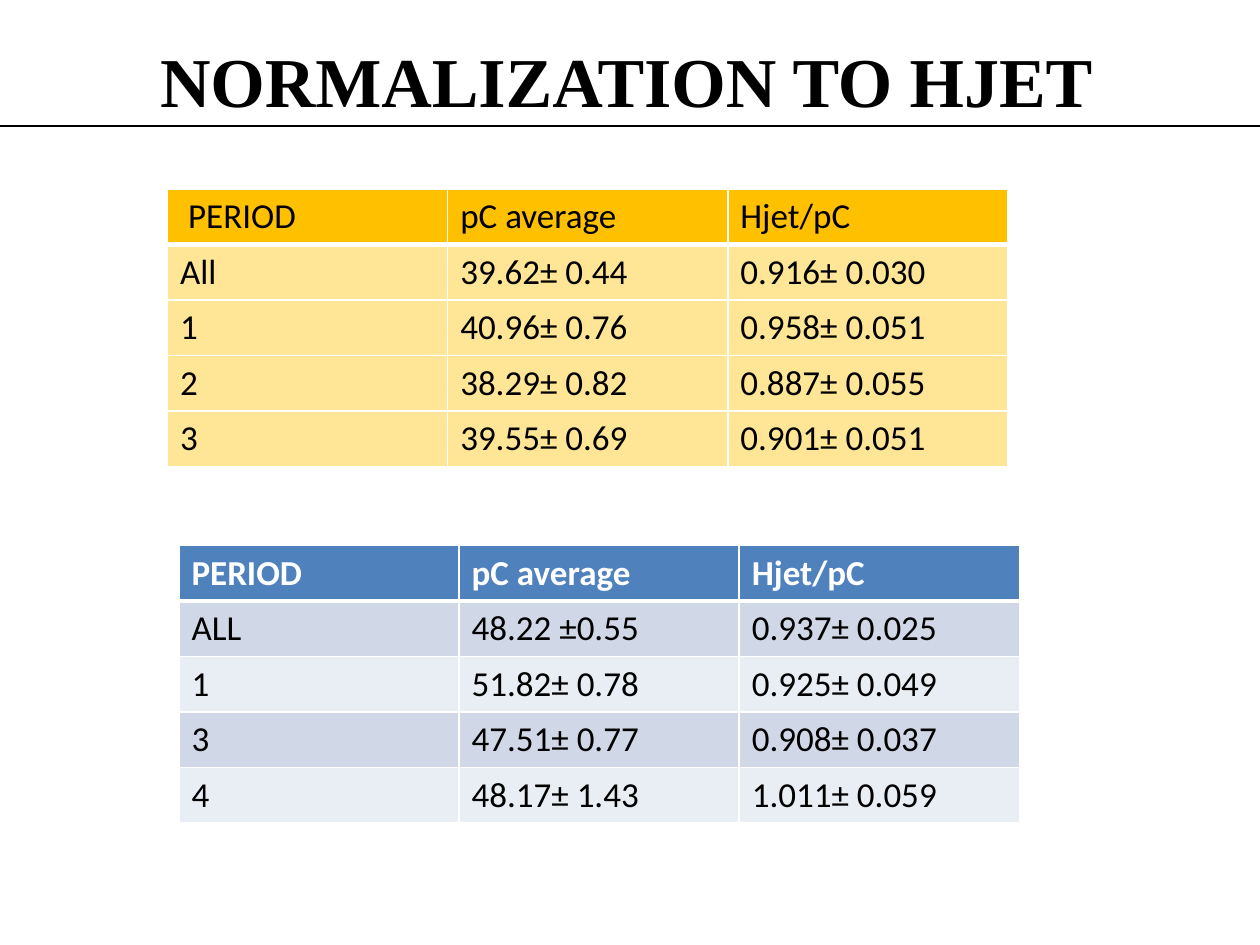
from lxml.etree import SubElement
from pptx import Presentation
from pptx.dml.color import RGBColor as RGB
from pptx.enum.shapes import MSO_CONNECTOR as Connector
from pptx.enum.text import MSO_ANCHOR as Anchor, MSO_AUTO_SIZE as AutoSize, PP_ALIGN as Align
from pptx.oxml.ns import qn
from pptx.util import Inches, Pt

HEADING = "NORMALIZATION TO HJET"
RESULTS = [
    {
        "place": (1.33, 1.5),
        "palette": "amber",
        "rows": [
            (" PERIOD", "pC average", "Hjet/pC"),
            ("All", "39.62± 0.44", "0.916± 0.030"),
            ("1", "40.96± 0.76", "0.958± 0.051"),
            ("2", "38.29± 0.82", "0.887± 0.055"),
            ("3", "39.55± 0.69", "0.901± 0.051"),
        ],
    },
    {
        "place": (1.42, 4.33),
        "palette": "blue",
        "rows": [
            ("PERIOD", "pC average", "Hjet/pC"),
            ("ALL", "48.22 ±0.55", "0.937± 0.025"),
            ("1", "51.82± 0.78", "0.925± 0.049"),
            ("3", "47.51± 0.77", "0.908± 0.037"),
            ("4", "48.17± 1.43", "1.011± 0.059"),
        ],
    },
]
THEME = {
    "ink": "000000",
    "border": "FFFFFF",
    "heading": {"name": "Times New Roman", "size": Pt(40), "bold": True},
    "cell": {"name": "Calibri", "size": Pt(20)},
    "amber": {"head": "FFC000", "bands": ("FFE697", "FFE697"), "head_ink": "000000", "head_bold": False},
    "blue": {"head": "4F81BD", "bands": ("D0D8E8", "E9EDF4"), "head_ink": "FFFFFF", "head_bold": True},
}
SLIDE_WIDTH, SLIDE_HEIGHT = 10, 7.5
TABLE_WIDTH, TABLE_HEIGHT = 6.67, 2.17
RULE_TOP = 1


def format_font(font, ink, **values):
    for key, value in values.items():
        setattr(font, key, value)
    font.color.rgb = RGB.from_string(ink)


def add_borders(cell, **widths):
    properties = cell._tc.get_or_add_tcPr()
    for side in ("L", "R", "T", "B"):
        edge = SubElement(properties, qn(f"a:ln{side}"), w=str(Pt(widths.get(side, 1))))
        fill = SubElement(edge, qn("a:solidFill"))
        SubElement(fill, qn("a:srgbClr"), val=THEME["border"])


def add_heading(slide):
    heading = slide.shapes.title
    place = {"left": 1.17, "top": 0.25, "width": 7.68, "height": 0.77}
    for key, value in place.items():
        setattr(heading, key, Inches(value))
    frame = heading.text_frame
    frame.text = HEADING
    layout = {"auto_size": AutoSize.NONE, "word_wrap": True, "vertical_anchor": Anchor.TOP}
    for key, value in layout.items():
        setattr(frame, key, value)
    frame.paragraphs[0].alignment = Align.LEFT
    format_font(frame.paragraphs[0].runs[0].font, THEME["ink"], **THEME["heading"])


def add_rule(slide):
    rule = slide.shapes.add_connector(
        Connector.STRAIGHT, 0, Inches(RULE_TOP), Inches(SLIDE_WIDTH), Inches(RULE_TOP)
    )
    rule.line.color.rgb = RGB.from_string(THEME["ink"])
    rule.line.width = Pt(0.75)
    SubElement(rule._element.spPr, qn("a:effectLst"))


def add_results(slide, place, palette, rows):
    colors = THEME[palette]
    left, top = map(Inches, place)
    table = slide.shapes.add_table(
        len(rows), len(rows[0]), left, top, Inches(TABLE_WIDTH), Inches(TABLE_HEIGHT)
    ).table
    for r, row in enumerate(rows):
        is_head = r == 0
        fill = colors["head"] if is_head else colors["bands"][(r - 1) % 2]
        ink = colors["head_ink"] if is_head else THEME["ink"]
        widths = {0: {"B": 3}, 1: {"T": 3}}.get(r, {})
        for c, entry in enumerate(row):
            cell = table.cell(r, c)
            cell.text = entry
            add_borders(cell, **widths)
            cell.fill.solid()
            cell.fill.fore_color.rgb = RGB.from_string(fill)
            font = cell.text_frame.paragraphs[0].runs[0].font
            format_font(font, ink, bold=is_head and colors["head_bold"], **THEME["cell"])


def main():
    deck = Presentation()
    deck.slide_width, deck.slide_height = Inches(SLIDE_WIDTH), Inches(SLIDE_HEIGHT)
    slide = deck.slides.add_slide(deck.slide_layouts.get_by_name("Title Only"))
    add_heading(slide)
    add_rule(slide)
    for results in RESULTS:
        add_results(slide, **results)
    deck.save("out.pptx")


if __name__ == "__main__":
    main()
